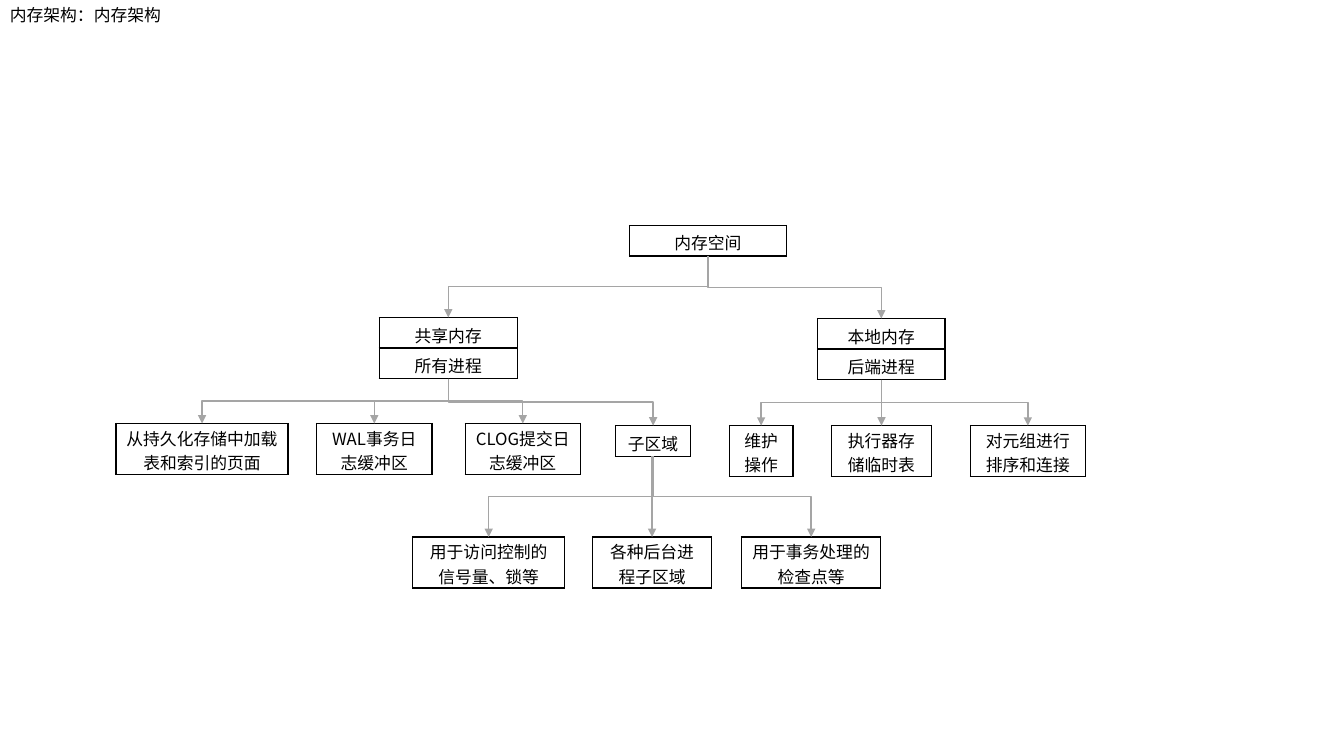
from lxml.etree import SubElement as Sub
from pptx import Presentation
from pptx.dml.color import RGBColor as Rgb
from pptx.enum.shapes import MSO_CONNECTOR as Link
from pptx.enum.text import MSO_ANCHOR as Anchor, PP_ALIGN as Align
from pptx.oxml import parse_xml
from pptx.oxml.ns import nsdecls, qn
from pptx.util import Pt

HUES = {"ink": "000000", "line": "A5A5A5"}
FONT = "Noto Sans CJK SC"
ONE, TWO = 21.8, 36.4

SHARED = [
    ((82.9, 302.5, 122.8, TWO), ["从持久化存储中加载表和索引的页面"], []),
    ((226.1, 302.5, 82.5, TWO), ["WAL事务日志缓冲区"], []),
    ((332.4, 302.5, 82, TWO), ["CLOG提交日志缓冲区"], []),
    ((439.6, 304, 53.8, ONE), ["子区域"], [
        ((294.9, 383.6, 108.4, TWO), ["用于访问控制的信号量、锁等"], []),
        ((423.3, 383.6, 85, TWO), ["各种后台进程子区域"], []),
        ((529.6, 383.6, 99.6, TWO), ["用于事务处理的检查点等"], []),
    ]),
]
LOCAL = [
    ((521, 304, 45.4, TWO), ["维护操作"], []),
    ((593.9, 304, 71.5, TWO), ["执行器存储临时表"], []),
    ((693.2, 304, 82, TWO), ["对元组进行排序和连接"], []),
]
TREE = ((449.7, 161, 112, ONE), ["内存空间"], [
    ((270.8, 226.8, 98.8, ONE), ["共享内存", "所有进程"], SHARED),
    ((584, 227.5, 91, ONE), ["本地内存", "后端进程"], LOCAL),
])


def write(par, text):
    """Add one run of body text to a paragraph."""
    run = par.add_run()
    run.text = text
    run.font.size = Pt(12)
    run.font.color.rgb = Rgb.from_string(HUES["ink"])
    run.font.name = FONT
    Sub(run.font._element, qn("a:ea")).set("typeface", FONT)


def edge(cell):
    """Draw a thin border on all four sides of a cell."""
    props = cell._tc.get_or_add_tcPr()
    for spot, side in enumerate(("lnL", "lnR", "lnT", "lnB")):
        props.insert(spot, parse_xml(
            f'<a:{side} {nsdecls("a")} w="12700"><a:solidFill>'
            f'<a:srgbClr val="{HUES["ink"]}"/></a:solidFill></a:{side}>'))


def grid(slide, box, texts):
    """Place a one-column table with a row for each text."""
    left, top, wide, high = box
    frame = slide.shapes.add_table(len(texts), 1, Pt(left), Pt(top),
                                   Pt(wide), Pt(high * len(texts)))
    table = frame.table
    table.first_row = table.horz_banding = False
    for row, text in zip(table.rows, texts):
        row.height = Pt(high)
        cell = row.cells[0]
        cell.fill.background()
        cell.vertical_anchor = Anchor.TOP
        cell.margin_top = Pt(3.6 if high == ONE else 1.6)
        cell.margin_bottom = 0
        par = cell.text_frame.paragraphs[0]
        par.alignment = Align.CENTER
        write(par, text)
        edge(cell)


def arrow(slide, start, end):
    """Draw an arrow that leaves downward, turns halfway and ends downward."""
    (x1, y1), (x2, y2) = start, end
    if abs(x2 - x1) < 1:
        line = slide.shapes.add_connector(
            Link.STRAIGHT, Pt(x2), Pt(y1), Pt(x2), Pt(y2))
    else:
        midx, midy = (x1 + x2) / 2, (y1 + y2) / 2
        half, rise = (y2 - y1) / 2, abs(x2 - x1) / 2
        turn = 1 if x2 < x1 else -1
        line = slide.shapes.add_connector(
            Link.ELBOW, Pt(midx - turn * half), Pt(midy - rise),
            Pt(midx + turn * half), Pt(midy + rise))
        xfrm = line._element.spPr.find(qn("a:xfrm"))
        xfrm.set("rot", str(turn * 90 % 360 * 60000))
    line.line.color.rgb = Rgb.from_string(HUES["line"])
    line.line.width = Pt(1)
    Sub(line.line._get_or_add_ln(), qn("a:tailEnd")).set("type", "triangle")
    Sub(line._element.spPr, qn("a:effectLst"))


def branch(slide, node):
    """Place a node, its children and the arrows between them."""
    box, texts, kids = node
    left, top, wide, high = box
    grid(slide, box, texts)
    foot = (left + wide / 2, top + high * len(texts))
    for kid in kids:
        x, y, span, _ = kid[0]
        branch(slide, kid)
        arrow(slide, foot, (x + span / 2, y))


def title(slide, box, text):
    """Place the heading in the given box."""
    frame = slide.shapes.add_textbox(*map(Pt, box)).text_frame
    frame.word_wrap = False
    frame.margin_top = Pt(1.8)
    write(frame.paragraphs[0], text)


def main():
    """Build and save the slide."""
    deck = Presentation()
    deck.slide_width, deck.slide_height = Pt(960), Pt(540)
    slide = deck.slides.add_slide(deck.slide_layouts[6])
    title(slide, (0, 1.4, 122.4, 21.8), "内存架构：内存架构")
    branch(slide, TREE)
    deck.save("out.pptx")


if __name__ == "__main__":
    main()
